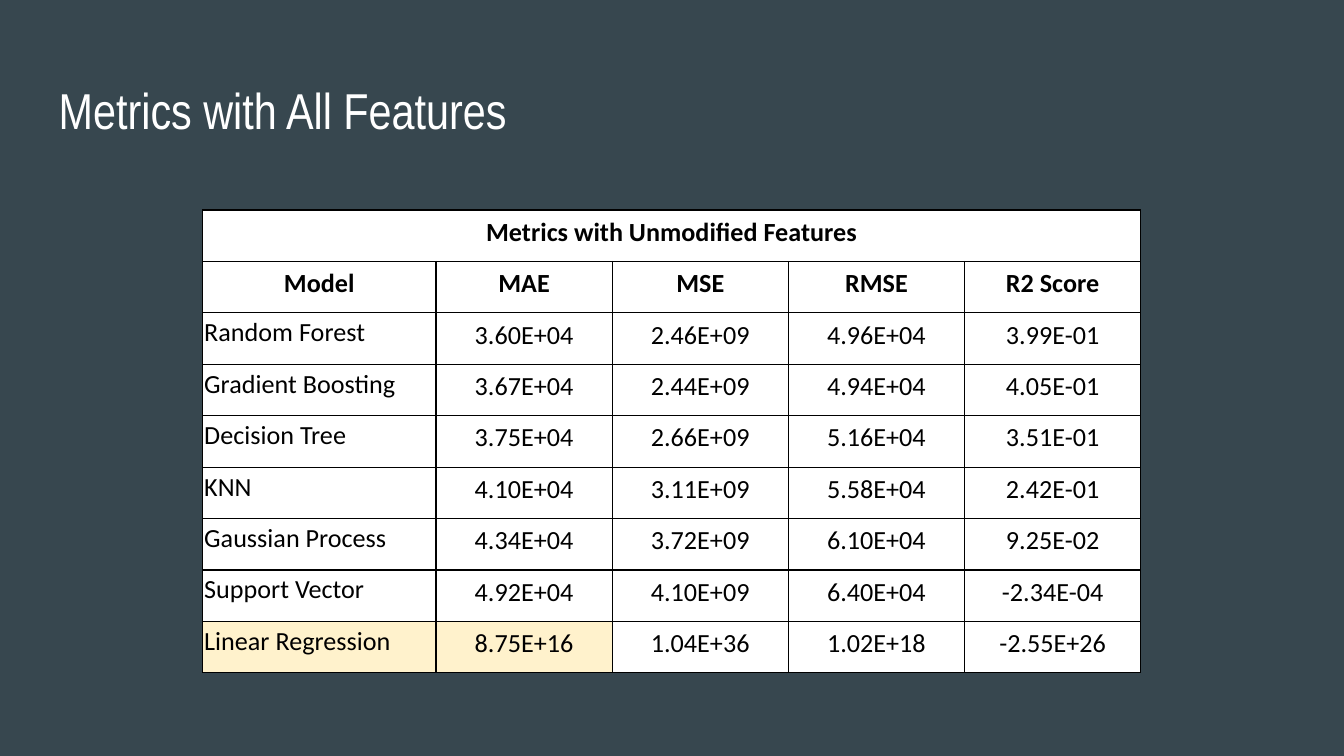
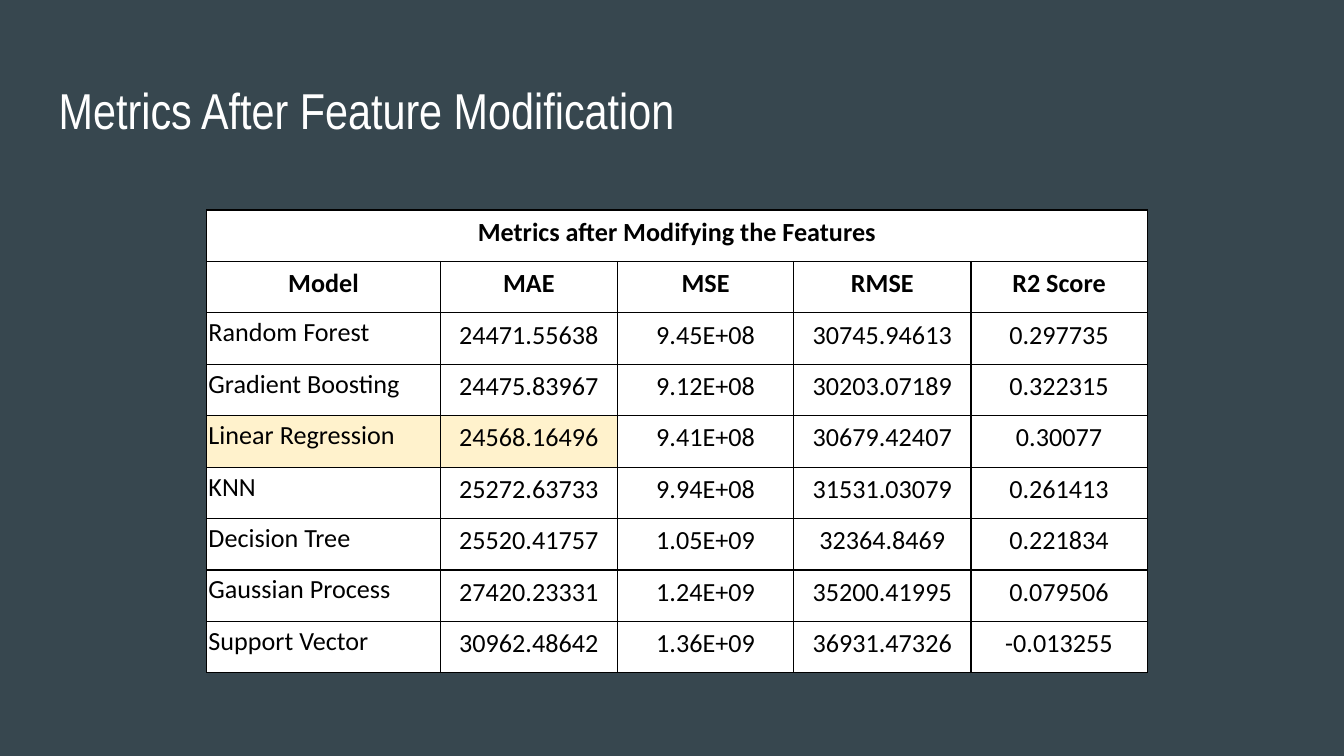
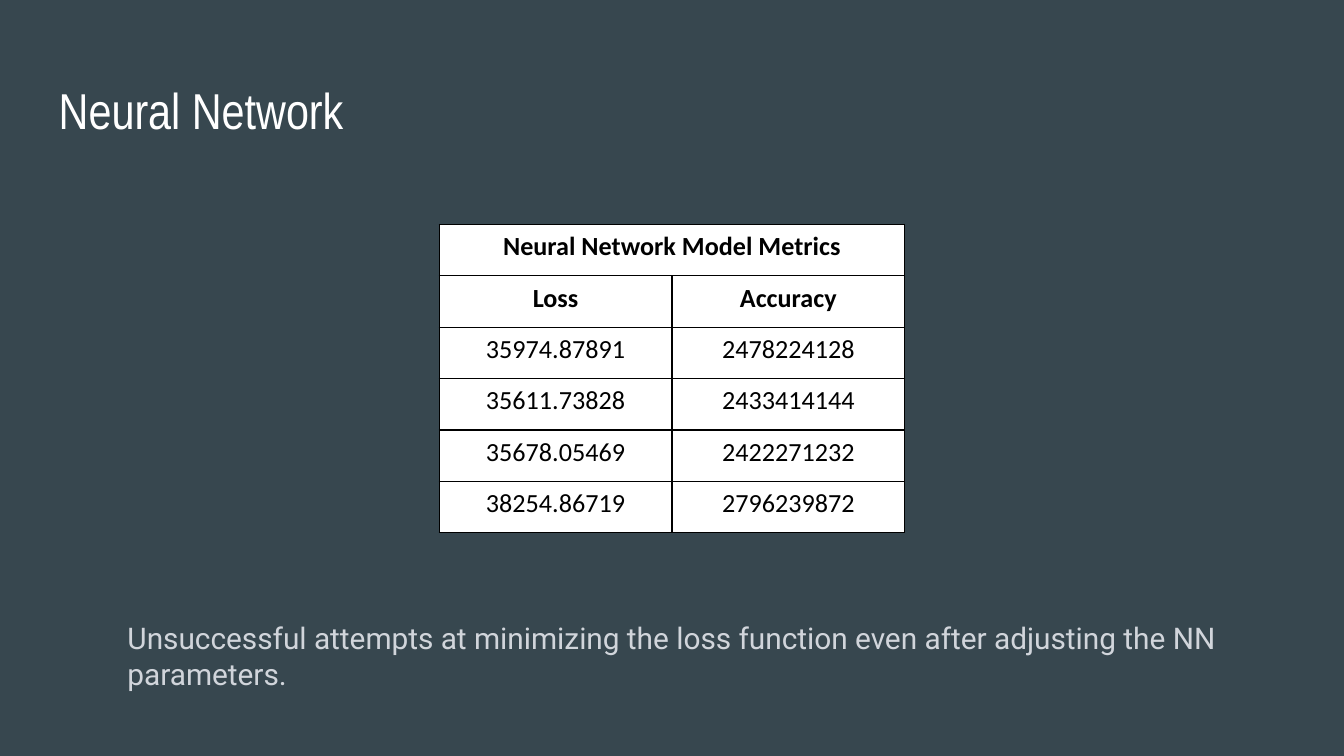
from lxml import etree
from pptx import Presentation
from pptx.dml.color import RGBColor
from pptx.enum import text
from pptx.oxml import ns
from pptx.util import Cm, Pt

SLATE = RGBColor(0x37, 0x47, 0x4F)
WHITE = RGBColor(0xFF, 0xFF, 0xFF)
BLACK = RGBColor(0x00, 0x00, 0x00)
CREAM = RGBColor(0xFF, 0xF2, 0xCC)
PALE_GREY = RGBColor(0xD1, 0xD5, 0xDB)

TITLE_FONT = {"name": "Arial Narrow", "size": Pt(27), "bold": False}
CELL_FONT = {"name": "Calibri", "size": Pt(14)}
NOTE_FONT = {"name": "Roboto", "size": Pt(16)}
TITLE_BOX = {"left": Cm(0.86), "top": Cm(1.24), "width": Cm(23.67), "height": Cm(1.6)}
FRAME_MARGINS = {f"margin_{side}": Cm(0.25) for side in ("left", "top", "right", "bottom")}
CELL_FORMAT = {
    "margin_left": Cm(0.03),
    "margin_top": Cm(0.03),
    "margin_right": Cm(0.03),
    "margin_bottom": Cm(0.25),
    "vertical_anchor": text.MSO_ANCHOR.MIDDLE,
}
ROW_HEIGHT = 0.66
MODEL_HEADER = ("Model", "MAE", "MSE", "RMSE", "R2 Score")

UNMODIFIED_METRICS = [
    ("Random Forest", "3.60E+04", "2.46E+09", "4.96E+04", "3.99E-01"),
    ("Gradient Boosting", "3.67E+04", "2.44E+09", "4.94E+04", "4.05E-01"),
    ("Decision Tree", "3.75E+04", "2.66E+09", "5.16E+04", "3.51E-01"),
    ("KNN", "4.10E+04", "3.11E+09", "5.58E+04", "2.42E-01"),
    ("Gaussian Process", "4.34E+04", "3.72E+09", "6.10E+04", "9.25E-02"),
    ("Support Vector", "4.92E+04", "4.10E+09", "6.40E+04", "-2.34E-04"),
    ("Linear Regression", "8.75E+16", "1.04E+36", "1.02E+18", "-2.55E+26"),
]
MODIFIED_METRICS = [
    ("Random Forest", "24471.55638", "9.45E+08", "30745.94613", "0.297735"),
    ("Gradient Boosting", "24475.83967", "9.12E+08", "30203.07189", "0.322315"),
    ("Linear Regression", "24568.16496", "9.41E+08", "30679.42407", "0.30077"),
    ("KNN", "25272.63733", "9.94E+08", "31531.03079", "0.261413"),
    ("Decision Tree", "25520.41757", "1.05E+09", "32364.8469", "0.221834"),
    ("Gaussian Process", "27420.23331", "1.24E+09", "35200.41995", "0.079506"),
    ("Support Vector", "30962.48642", "1.36E+09", "36931.47326", "-0.013255"),
]
NETWORK_METRICS = [
    ("35974.87891", "2478224128"),
    ("35611.73828", "2433414144"),
    ("35678.05469", "2422271232"),
    ("38254.86719", "2796239872"),
]


def apply_format(target, values):
    for attribute, value in values.items():
        setattr(target, attribute, value)


def write(paragraph, wording, font, color):
    run = paragraph.add_run()
    run.text = wording
    apply_format(run.font, font)
    run.font.color.rgb = color


def add_titled_slide(deck, heading):
    slide = deck.slides.add_slide(deck.slide_layouts[5])
    title = slide.shapes.title
    apply_format(title, TITLE_BOX)
    frame = title.text_frame
    apply_format(frame, FRAME_MARGINS)
    apply_format(frame, {
        "word_wrap": True,
        "auto_size": text.MSO_AUTO_SIZE.NONE,
        "vertical_anchor": text.MSO_ANCHOR.TOP,
    })
    frame.paragraphs[0].alignment = text.PP_ALIGN.LEFT
    write(frame.paragraphs[0], heading, TITLE_FONT, WHITE)
    return slide


def add_borders(cell):
    properties = cell._tc.get_or_add_tcPr()
    for edge in ("a:lnL", "a:lnR", "a:lnT", "a:lnB"):
        line = etree.SubElement(properties, ns.qn(edge), w=str(Pt(0.75)))
        fill = etree.SubElement(line, ns.qn("a:solidFill"))
        etree.SubElement(fill, ns.qn("a:srgbClr"), val=str(BLACK))


def format_cell(cell, wording, bold, centred, fill):
    add_borders(cell)
    apply_format(cell, CELL_FORMAT)
    cell.fill.solid()
    cell.fill.fore_color.rgb = fill
    paragraph = cell.text_frame.paragraphs[0]
    if centred:
        apply_format(paragraph, {"alignment": text.PP_ALIGN.CENTER, "line_spacing": 1.15})
    write(paragraph, wording, {**CELL_FONT, "bold": bold}, BLACK)


def add_metrics_table(slide, caption, header, records, left, top, widths, highlighted=None):
    caption_row = (caption,) + ("",) * (len(header) - 1)
    rows = [caption_row, header, *records]
    table = slide.shapes.add_table(
        len(rows), len(header), Cm(left), Cm(top),
        Cm(sum(widths)), Cm(ROW_HEIGHT * len(rows)),
    ).table
    apply_format(table, {"first_row": False, "horz_banding": False})
    for column, width in zip(table.columns, widths):
        column.width = Cm(width)
    for row in table.rows:
        row.height = Cm(ROW_HEIGHT)
    table.cell(0, 0).merge(table.cell(0, len(header) - 1))
    for r, row in enumerate(rows):
        for c, wording in enumerate(row):
            is_heading = r < 2
            is_model_name = header[c] == "Model" and not is_heading
            is_highlighted = row[0] == highlighted and c < 2
            format_cell(table.cell(r, c), wording, is_heading, not is_model_name,
                        CREAM if is_highlighted else WHITE)
    return table


def add_note(slide, wording):
    note = slide.shapes.add_textbox(Cm(2.16), Cm(11.46), Cm(21.08), Cm(1.88))
    frame = note.text_frame
    apply_format(frame, FRAME_MARGINS)
    apply_format(frame, {"word_wrap": True, "auto_size": text.MSO_AUTO_SIZE.SHAPE_TO_FIT_TEXT})
    write(frame.paragraphs[0], wording, NOTE_FONT, PALE_GREY)


def main():
    deck = Presentation()
    apply_format(deck, {"slide_width": Cm(25.4), "slide_height": Cm(14.29)})
    background = deck.slide_master.background.fill
    background.solid()
    background.fore_color.rgb = SLATE

    all_features = add_titled_slide(deck, "Metrics with All Features")
    add_metrics_table(all_features, "Metrics with Unmodified Features", MODEL_HEADER,
                      UNMODIFIED_METRICS, 3.83, 3.97, [4.41] + [3.33] * 4,
                      "Linear Regression")

    modification = add_titled_slide(deck, "Metrics After Feature Modification")
    add_metrics_table(modification, "Metrics after Modifying the Features", MODEL_HEADER,
                      MODIFIED_METRICS, 3.91, 3.97, [4.41] + [3.35, 3.33] * 2,
                      "Linear Regression")

    network = add_titled_slide(deck, "Neural Network")
    network_table = add_metrics_table(network, "Neural Network Model Metrics",
                                      ("Loss", "Accuracy"), NETWORK_METRICS,
                                      8.3, 4.24, [4.4] * 2)
    network_table.cell(0, 0).vertical_anchor = text.MSO_ANCHOR.BOTTOM
    add_note(network, "Unsuccessful attempts at minimizing the loss function even after "
                      "adjusting the NN parameters.")

    deck.save("out.pptx")


if __name__ == "__main__":
    main()
